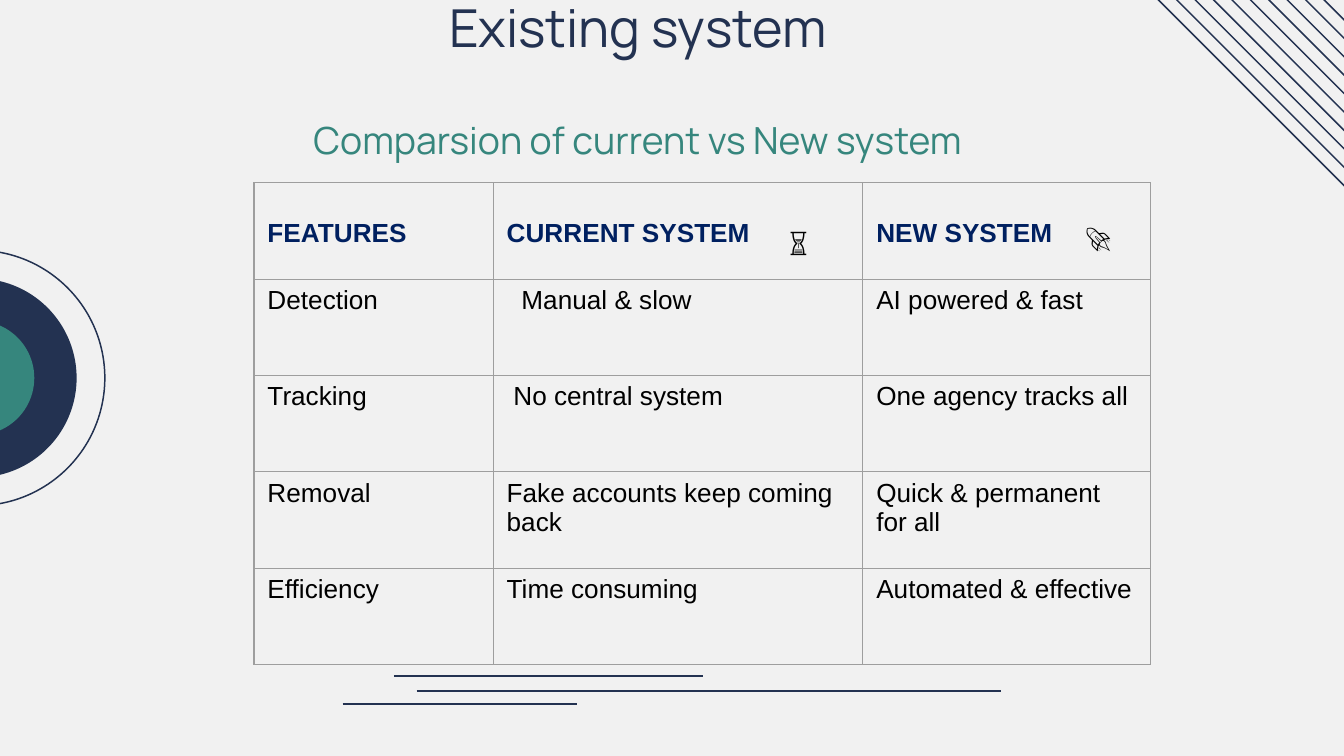
from lxml import etree
from pptx import Presentation, util as u
from pptx.dml.color import RGBColor
from pptx.enum import shapes, text
from pptx.oxml.ns import qn

COLORS = {"paper": "F1F1F1", "navy": "233251", "teal": "36867D",
          "header": "002060", "body": "000000", "border": "9E9E9E"}
WIDTH, HEIGHT = 10, 5.625

HEADINGS = [("Existing system", 28, "navy", 0),
            ("Comparsion of current vs New system", 20, "teal", 34)]
ROWS = [
    ("FEATURES", "CURRENT SYSTEM", "NEW SYSTEM"),
    ("Detection", "Manual & slow", "AI powered & fast"),
    ("Tracking", "No central system", "One agency tracks all"),
    ("Removal", "Fake accounts keep coming back", "Quick & permanent for all"),
    ("Efficiency", "Time consuming", "Automated & effective"),
]
INDENTS = {"Manual & slow": 0.11, "No central system": 0.05}
ICONS = [("⏳", 5.77, 1.63, 0.33), ("🚀", 7.98, 1.6, 0.47)]

TABLE_LEFT, TABLE_TOP = 1.89, 1.36
COLUMN_WIDTHS, ROW_HEIGHT = (1.78, 2.75, 2.14), 0.717

UNDERLINES = [(3.1, 7.45, 5.14), (2.55, 4.29, 5.24), (2.93, 5.23, 5.03)]
STRIPE_COUNT, STRIPE_STEP, STRIPE_SPAN = 10, 0.137, 2.185
STRIPE_LEFT, STRIPE_TOP = 8.07, -0.55
TARGET_X, TARGET_Y = -0.17, HEIGHT / 2
BAND_SHARE = 0.34
TARGET = [(0.74, "navy"), (0.95, None), (0.425, "teal")]  # radius, band colour


def rgb(name):
    return RGBColor.from_string(COLORS[name])


def style(paragraph, size, color, font="Arial", bold=False):
    paragraph.font.size = u.Pt(size)
    paragraph.font.name = font
    paragraph.font.bold = bold
    paragraph.font.color.rgb = rgb(color)


def add_line(slide, x1, y1, x2, y2):
    line = slide.shapes.add_connector(
        shapes.MSO_CONNECTOR.STRAIGHT, *map(u.Inches, (x1, y1, x2, y2)))
    line.line.color.rgb = rgb("navy")
    line.line.width = u.Pt(0.78)
    etree.SubElement(line._element.spPr, qn("a:effectLst"))


def add_target(slide):
    """Concentric rings cut by the left edge of the slide."""
    for radius, color in TARGET:
        kind = shapes.MSO_SHAPE.DONUT if color else shapes.MSO_SHAPE.OVAL
        ring = slide.shapes.add_shape(kind, *map(u.Inches, (
            TARGET_X - radius, TARGET_Y - radius, 2 * radius, 2 * radius)))
        ring.shadow.inherit = False
        if color:
            ring.adjustments[0] = BAND_SHARE
            ring.fill.solid()
            ring.fill.fore_color.rgb = rgb(color)
            ring.line.fill.background()
        else:
            ring.fill.background()
            ring.line.color.rgb = rgb("navy")
            ring.line.width = u.Pt(0.78)


def add_title(slide):
    title = slide.shapes.title
    title.left, title.top, title.width, title.height = map(
        u.Inches, (0.82, -0.08, 7.85, 1.18))
    frame = title.text_frame
    frame.margin_left = frame.margin_right = u.Inches(0.1)
    frame.margin_top = frame.margin_bottom = u.Inches(0.1)
    frame.vertical_anchor = text.MSO_ANCHOR.TOP
    frame.auto_size = text.MSO_AUTO_SIZE.NONE
    frame.text = "\n".join(heading[0] for heading in HEADINGS)
    for paragraph, (_, size, color, gap) in zip(frame.paragraphs, HEADINGS):
        style(paragraph, size, color, "Manrope")
        paragraph.alignment = text.PP_ALIGN.CENTER
        paragraph.line_spacing = 0.9
        paragraph.space_before = u.Pt(gap)


def add_borders(cell):
    properties = cell._tc.get_or_add_tcPr()
    for side in ("L", "R", "T", "B"):
        edge = etree.SubElement(properties, qn(f"a:ln{side}"), w=str(u.Pt(0.75)))
        fill = etree.SubElement(edge, qn("a:solidFill"))
        etree.SubElement(fill, qn("a:srgbClr"), val=COLORS["border"])


def add_comparison(slide):
    table = slide.shapes.add_table(
        len(ROWS), len(COLUMN_WIDTHS), *map(u.Inches, (
            TABLE_LEFT, TABLE_TOP, sum(COLUMN_WIDTHS), ROW_HEIGHT * len(ROWS)))).table
    table.first_row = table.horz_banding = False
    for column, width in zip(table.columns, COLUMN_WIDTHS):
        column.width = u.Inches(width)
    for r, row in enumerate(ROWS):
        header = r == 0
        for c, wording in enumerate(row):
            cell = table.cell(r, c)
            add_borders(cell)
            cell.fill.background()
            cell.margin_left = u.Inches(0.1 + INDENTS.get(wording, 0))
            cell.margin_top = u.Inches(0.27 if header else 0.05)
            cell.text = wording
            style(cell.text_frame.paragraphs[0], 14,
                  "header" if header else "body", bold=header)


def add_icons(slide):
    for icon, left, top, width in ICONS:
        frame = slide.shapes.add_textbox(
            *map(u.Inches, (left, top, width, 0.34))).text_frame
        frame.word_wrap = True
        frame.text = icon
        style(frame.paragraphs[0], 14, "body")


def main():
    deck = Presentation()
    deck.slide_width, deck.slide_height = u.Inches(WIDTH), u.Inches(HEIGHT)
    slide = deck.slides.add_slide(deck.slide_layouts[5])
    slide.background.fill.solid()
    slide.background.fill.fore_color.rgb = rgb("paper")
    for start, end, y in UNDERLINES:
        add_line(slide, start, y, end, y)
    for i in range(STRIPE_COUNT):
        x = STRIPE_LEFT + i * STRIPE_STEP
        add_line(slide, x, STRIPE_TOP, x + STRIPE_SPAN, STRIPE_TOP + STRIPE_SPAN)
    add_target(slide)
    add_title(slide)
    add_comparison(slide)
    add_icons(slide)
    deck.save("out.pptx")


if __name__ == "__main__":
    main()
